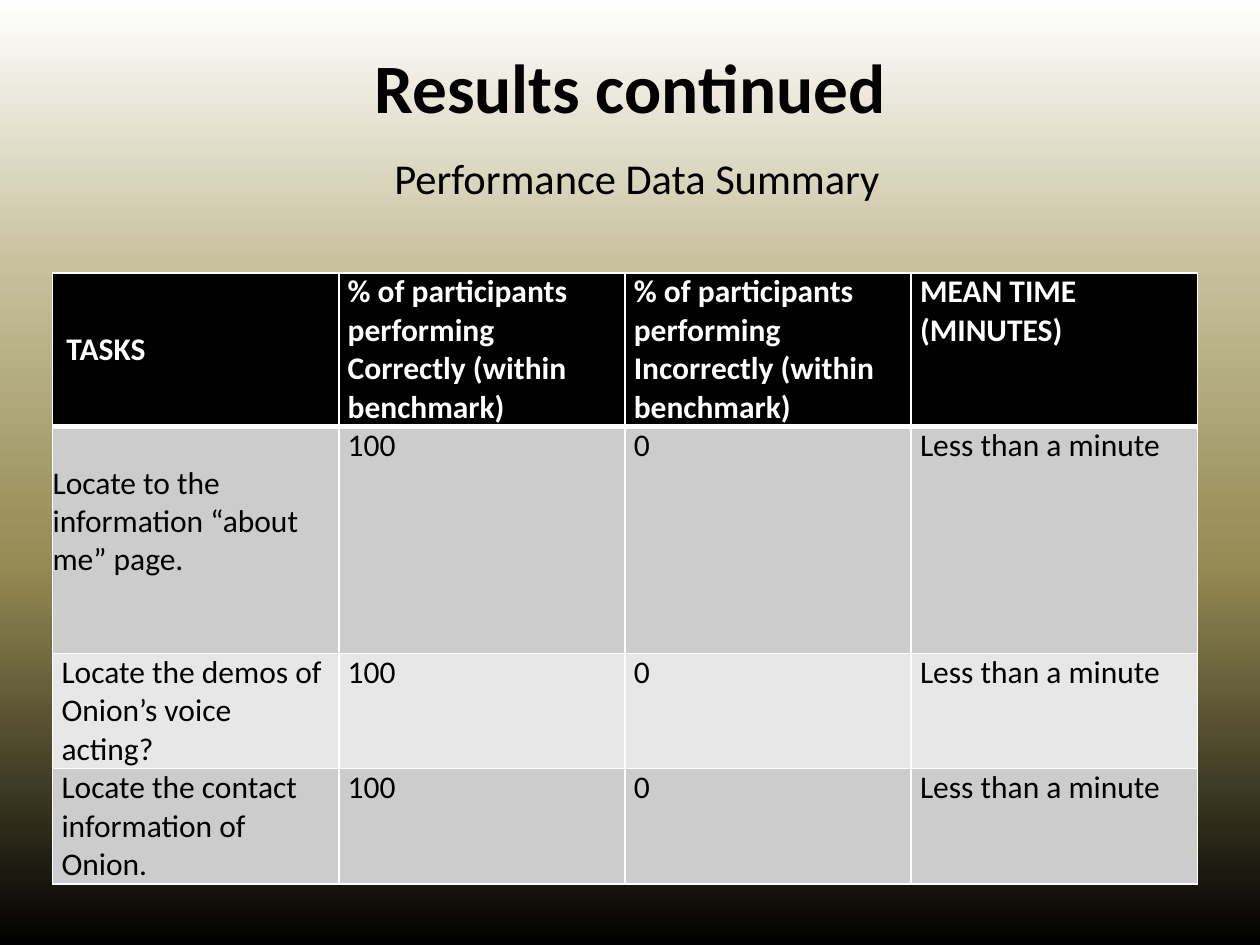
from lxml import etree
from pptx import Presentation
from pptx.dml.color import RGBColor
from pptx.enum import text
from pptx.oxml.ns import qn
from pptx.util import Cm, Pt

# Content
TITLE = "Results continued"
SUB = "Performance Data Summary"
HEAD = [
    "TASKS",
    "% of participants performing Correctly (within benchmark)",
    "% of participants performing Incorrectly (within benchmark)",
    "MEAN TIME (MINUTES)",
]
TASKS = [
    "Locate to the information “about me” page.",
    "Locate the demos of Onion’s voice acting?",
    "Locate the contact information of Onion.",
]
SCORES = ["100", "0", "Less than a minute"]
ROWS = [HEAD] + [[task] + SCORES for task in TASKS]

# Theme and measures
THEME = {
    "font": "Calibri", "ink": "000000", "paper": "FFFFFF",
    "bands": ["E7E7E7", "CCCCCC"],
    "sky": [(0, "000000"), (40, "948A54"), (70, "C4BD97"), (100, "FFFFFF")],
    "title": 39.6, "sub": 24.3, "body": 18,
}
WIDTH = 5.77
HEIGHTS = [3.1, 4.57, 2.31, 2.31]
PAD = 0.18
# Left and bottom margins of the two vertically centred cells
MIDDLE = {(0, 0): (0.28, 0), (1, 0): (0, 0.74)}


def write(para, words, size, color=THEME["ink"], bold=False, align=None, before=0):
    para.alignment = align
    para.space_before = Pt(before)
    run = para.add_run()
    run.text = words
    font = run.font
    font.name, font.size, font.bold = THEME["font"], Pt(size), bold
    font.color.rgb = RGBColor.from_string(color)


def paint(slide):
    fill = slide.background.fill
    fill.gradient()
    fill.gradient_angle = 90
    stops = next(slide.element.iter(qn("a:gsLst")))
    for old in list(stops):
        stops.remove(old)
    for pos, color in THEME["sky"]:
        stop = etree.SubElement(stops, qn("a:gs"), pos=str(pos * 1000))
        etree.SubElement(stop, qn("a:srgbClr"), val=color)


def edge(cell, tall):
    props = cell._tc.get_or_add_tcPr()
    for spot, side in enumerate("LRTB"):
        line = etree.Element(qn("a:ln" + side), w=str(Pt(tall if side == "B" else 1)))
        solid = etree.SubElement(line, qn("a:solidFill"))
        etree.SubElement(solid, qn("a:srgbClr"), val=THEME["paper"])
        props.insert(spot, line)


def head(slide):
    box = slide.shapes.title
    box.left, box.top, box.width, box.height = Cm(1.27), Cm(1.7), Cm(22.86), Cm(3.18)
    frame = box.text_frame
    frame.word_wrap = True
    frame.auto_size = text.MSO_AUTO_SIZE.NONE
    frame.vertical_anchor = text.MSO_ANCHOR.BOTTOM
    frame.margin_top, frame.margin_bottom = 0, Cm(0.79)
    mid = text.PP_ALIGN.CENTER
    write(frame.paragraphs[0], TITLE, THEME["title"], bold=True, align=mid)
    para = frame.add_paragraph()
    write(para, SUB, THEME["sub"], align=mid, before=14)
    para._p.get_or_add_pPr().set("marL", str(Cm(0.28)))


def grid(slide):
    count = len(HEAD)
    table = slide.shapes.add_table(
        len(ROWS), count, Cm(1.06), Cm(5.5), Cm(WIDTH * count), Cm(sum(HEIGHTS))
    ).table
    for col in table.columns:
        col.width = Cm(WIDTH)
    for r, row in enumerate(ROWS):
        table.rows[r].height = Cm(HEIGHTS[r])
        top = r == 0
        for c, words in enumerate(row):
            cell = table.cell(r, c)
            left, low = MIDDLE.get((r, c), (PAD, 0))
            cell.margin_left, cell.margin_bottom = Cm(left), Cm(low)
            cell.margin_top = 0
            cell.margin_right = Cm(0 if (r, c) in MIDDLE else PAD)
            if (r, c) in MIDDLE:
                cell.vertical_anchor = text.MSO_ANCHOR.MIDDLE
            cell.fill.solid()
            shade = THEME["ink"] if top else THEME["bands"][r % 2]
            cell.fill.fore_color.rgb = RGBColor.from_string(shade)
            edge(cell, 3 if top else 1)
            write(cell.text_frame.paragraphs[0], words, THEME["body"],
                  color=THEME["paper" if top else "ink"], bold=top)


def main():
    deck = Presentation()
    deck.slide_width, deck.slide_height = Cm(25.4), Cm(19.05)
    slide = deck.slides.add_slide(deck.slide_layouts[5])
    paint(slide)
    head(slide)
    grid(slide)
    deck.save("out.pptx")


if __name__ == "__main__":
    main()
